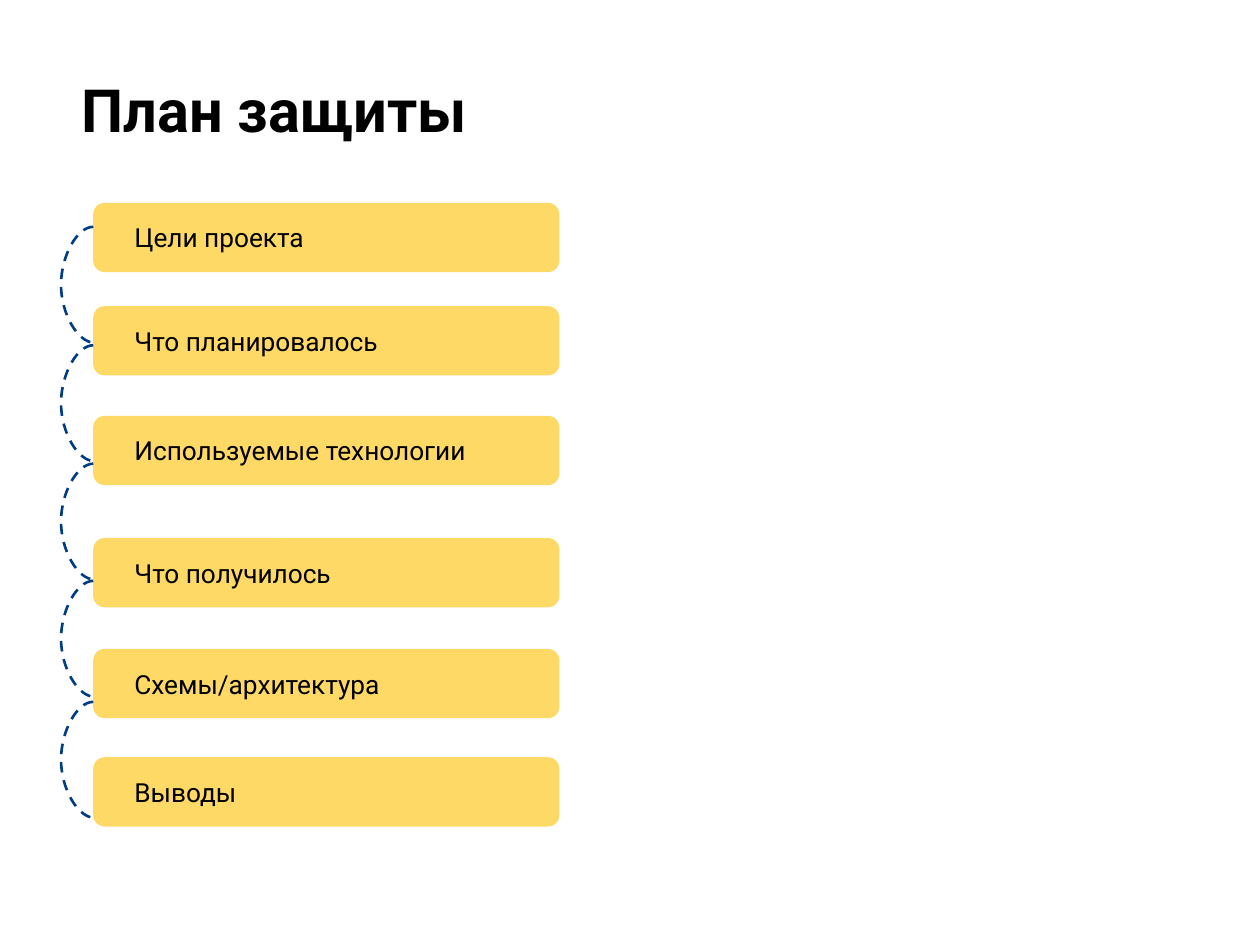
from dataclasses import dataclass

from lxml import etree
from pptx import Presentation
from pptx.dml.color import RGBColor
from pptx.enum import dml, shapes, text
from pptx.oxml import ns
from pptx.util import Inches, Pt


@dataclass(frozen=True)
class Theme:
    font: str = "Roboto"
    ink: RGBColor = RGBColor(0x00, 0x00, 0x00)
    card: RGBColor = RGBColor(0xFF, 0xD9, 0x66)
    arc: RGBColor = RGBColor(0x01, 0x3D, 0x85)
    title_size: Pt = Pt(34)
    card_size: Pt = Pt(15)
    arc_width: Pt = Pt(1.5)


THEME = Theme()

# Top of each card and its wording
STEPS = [
    (1.61, "Цели проекта"),
    (2.43, "Что планировалось"),
    (3.3, "Используемые технологии"),
    (4.27, "Что получилось"),
    (5.15, "Схемы/архитектура"),
    (6.01, "Выводы"),
]
ARC_TOPS = [1.8, 2.74, 3.68, 4.61, 5.57]
ARC_HEIGHT = 0.92
ARC_BULGE = 0.26
ARC_SHIFT = 0.01


def write(frame, words, size, bold=False, side=0.1, anchor=text.MSO_ANCHOR.TOP):
    frame.word_wrap = True
    frame.vertical_anchor = anchor
    frame.margin_left = frame.margin_right = Inches(side)
    frame.margin_top = frame.margin_bottom = Inches(0.1)
    para = frame.paragraphs[0]
    para.alignment = text.PP_ALIGN.LEFT
    span = para.add_run()
    span.text = words
    span.font.name = THEME.font
    span.font.size = size
    span.font.bold = bold
    span.font.color.rgb = THEME.ink


def add_title(page, left, top, width, height, words):
    box = page.shapes.add_textbox(
        Inches(left), Inches(top), Inches(width), Inches(height))
    write(box.text_frame, words, THEME.title_size, bold=True)


def add_card(page, left, top, width, height, words):
    card = page.shapes.add_shape(
        shapes.MSO_SHAPE.ROUNDED_RECTANGLE,
        Inches(left), Inches(top), Inches(width), Inches(height))
    card.shadow.inherit = False
    card.fill.solid()
    card.fill.fore_color.rgb = THEME.card
    card.line.fill.background()
    write(card.text_frame, words, THEME.card_size, side=0.3,
          anchor=text.MSO_ANCHOR.MIDDLE)


def add_arc(page, left, top, height):
    """Dashed curve that leaves and rejoins the cards' left edge."""
    arc = page.shapes.add_connector(
        shapes.MSO_CONNECTOR.CURVE, Inches(left), Inches(top),
        Inches(left + ARC_SHIFT), Inches(top + height))
    arc.line.color.rgb = THEME.arc
    arc.line.width = THEME.arc_width
    arc.line.dash_style = dml.MSO_LINE.DASH
    properties = arc._element.spPr
    etree.SubElement(properties, ns.qn("a:effectLst"))
    # The bend is measured in 1/100000 of the connector's width
    bend = round(-ARC_BULGE / ARC_SHIFT * 100000)
    guides = properties.find(ns.qn("a:prstGeom")).get_or_add_avLst()
    etree.SubElement(guides, ns.qn("a:gd"), name="adj1", fmla=f"val {bend}")


def add_plan(page, left, width, card_height):
    for top, words in STEPS:
        add_card(page, left, top, width, card_height, words)
    for top in ARC_TOPS:
        add_arc(page, left, top, ARC_HEIGHT)


def main():
    deck = Presentation()
    deck.slide_width, deck.slide_height = Inches(10), Inches(7.5)
    page = deck.slides.add_slide(deck.slide_layouts[6])
    add_title(page, 0.55, 0.48, 9.32, 0.92, "План защиты")
    add_plan(page, left=0.74, width=3.7, card_height=0.55)
    deck.save("out.pptx")


if __name__ == "__main__":
    main()
